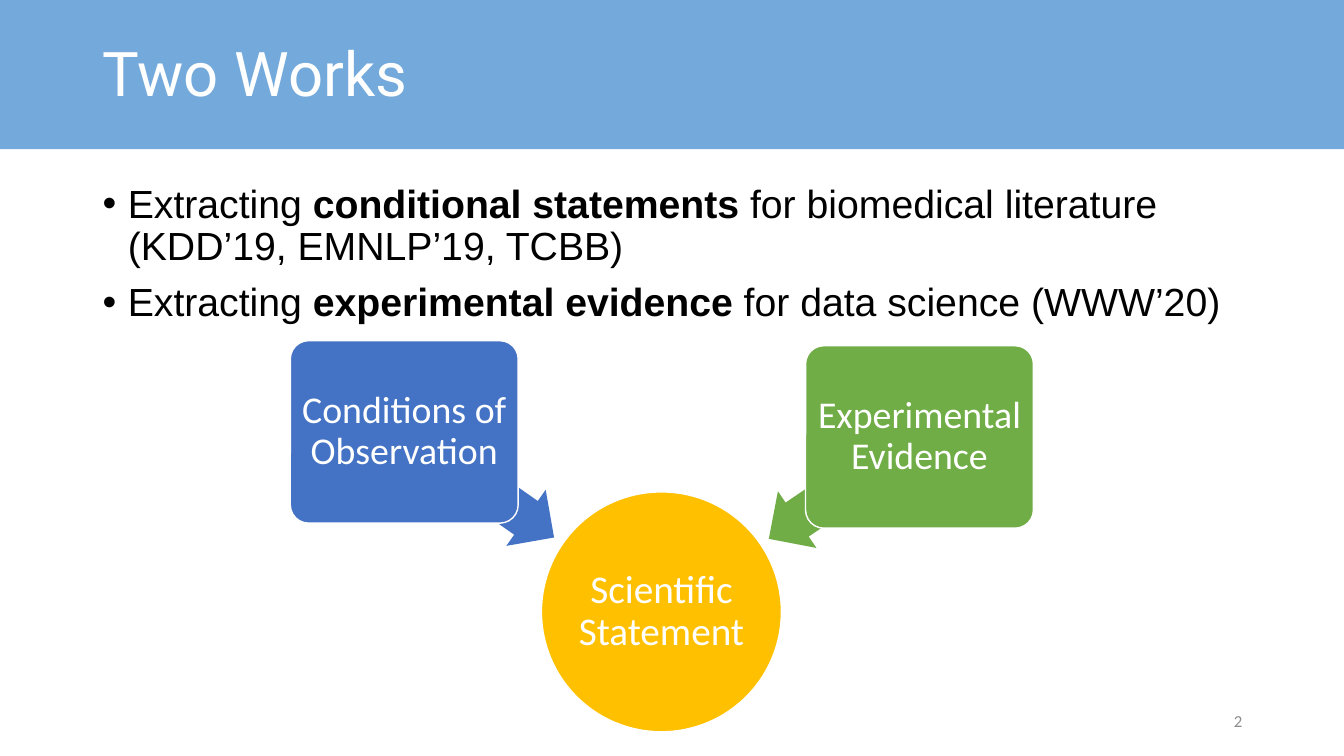
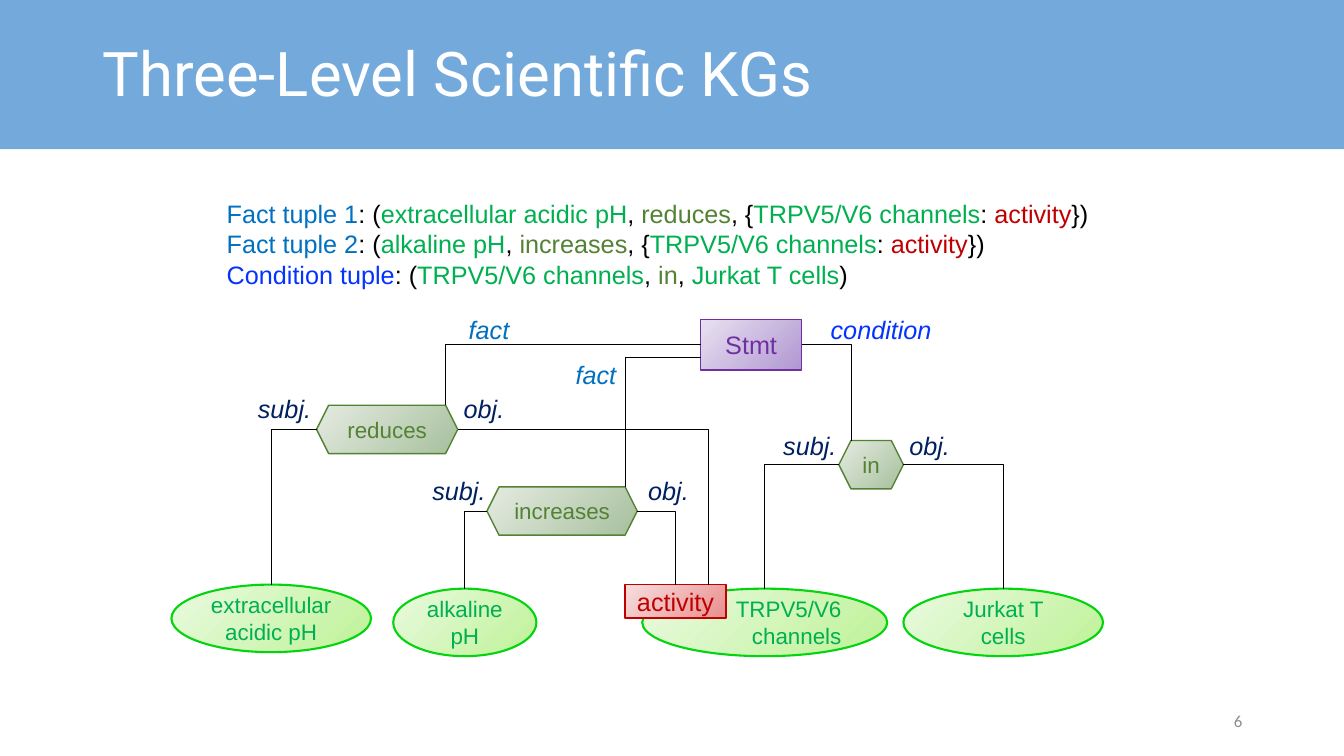
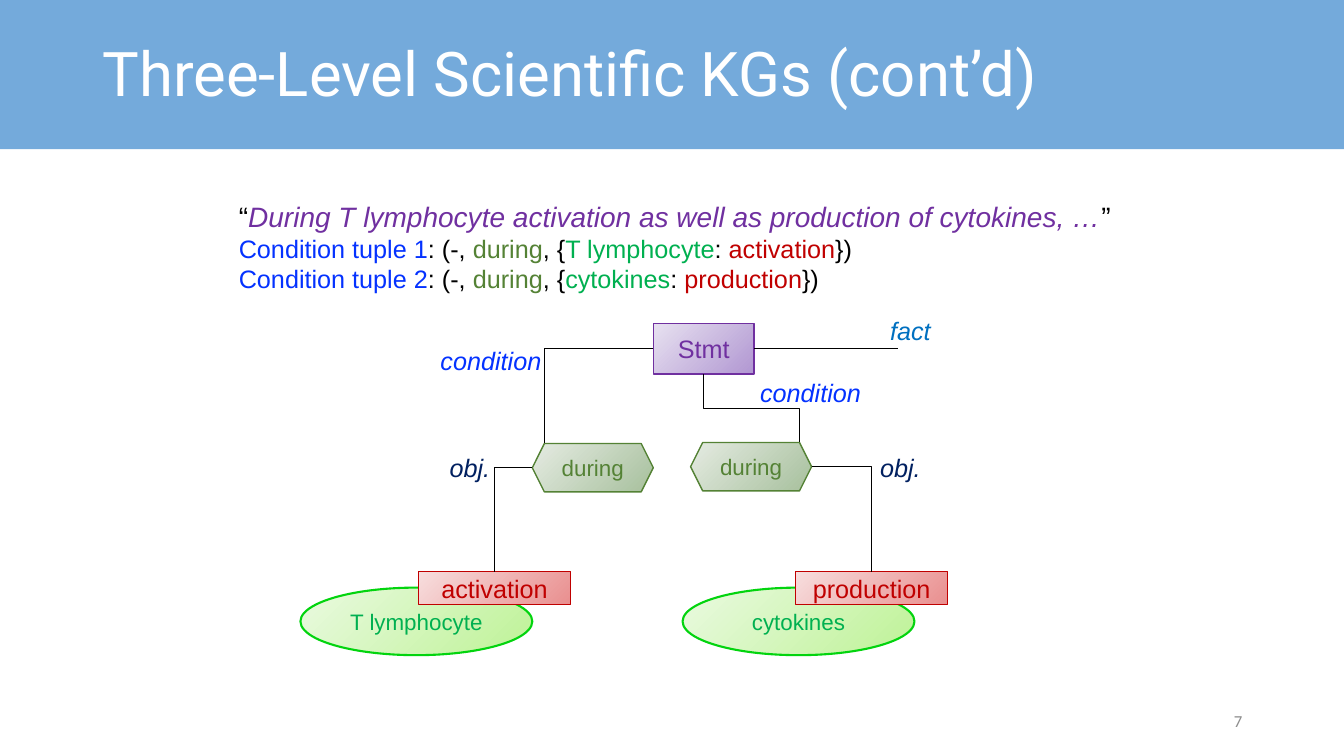
from dataclasses import dataclass

import pptx
import pptx.util
from lxml import etree
from pptx.dml.color import RGBColor
from pptx.enum.shapes import MSO_CONNECTOR, MSO_SHAPE
from pptx.enum.text import MSO_ANCHOR, PP_ALIGN
from pptx.oxml.ns import qn

PX = 9144  # 100 px to the inch


@dataclass(frozen=True)
class Theme:
    # Fonts
    title_font: str = "Roboto"
    body_font: str = "Arial"
    figure_font: str = "Calibri"
    # Type sizes
    title: int = 44
    body: int = 28
    card: int = 27
    quote: int = 20
    label: int = 18
    node: int = 16
    number: int = 12
    # Colours
    band: str = "74AADB"
    white: str = "FFFFFF"
    black: str = "000000"
    grey: str = "8C8C8C"
    blue: str = "4472C4"
    green: str = "70AD47"
    gold: str = "FFC000"
    fact: str = "0070C0"
    condition: str = "0432FF"
    role: str = "012060"
    concept: str = "00B050"
    relation: str = "548235"
    attribute: str = "C00000"
    statement: str = "7030A0"


THEME = Theme()


@dataclass(frozen=True)
class NodeStyle:
    shape: int
    dark: str
    light: str
    line: str
    line_width: float
    text: str
    size: int


CONCEPT = NodeStyle(MSO_SHAPE.OVAL, "BEF297", "EAFAE0", "02D40E", 1.5, THEME.concept, THEME.node)
RELATION = NodeStyle(MSO_SHAPE.HEXAGON, "A7C09D", "E5EBE2", THEME.relation, 1, THEME.relation, THEME.node)
ATTRIBUTE = NodeStyle(MSO_SHAPE.RECTANGLE, "E98F8F", "F7DEDE", THEME.attribute, 1, THEME.attribute, THEME.label)
STATEMENT = NodeStyle(MSO_SHAPE.RECTANGLE, "B197D2", "E7E1F0", THEME.statement, 1, THEME.statement, THEME.label)

RELATION_HEIGHT = 48
SLANT = RELATION_HEIGHT // 4  # corner cut of a hexagon
LABELS = {  # width and colour of each edge label
    "fact": (62, THEME.fact),
    "condition": (125, THEME.condition),
    "subj.": (73, THEME.role),
    "obj.": (62, THEME.role),
}


# Text
def rgb(code):
    return RGBColor.from_string(code)


def px(*lengths):
    return [length * PX for length in lengths]


def style(paragraph, font, size, color, align=PP_ALIGN.LEFT, spacing=None):
    paragraph.alignment = align
    if spacing:
        paragraph.line_spacing = spacing
    paragraph.font.name = font
    paragraph.font.size = pptx.util.Pt(size)
    paragraph.font.color.rgb = rgb(color)


def add_text_box(slide, box, anchor=MSO_ANCHOR.TOP, wrap=True):
    frame = slide.shapes.add_textbox(*px(*box)).text_frame
    frame.word_wrap = wrap
    frame.vertical_anchor = anchor
    return frame


def add_line(slide, box, text, font, size, color, align=PP_ALIGN.LEFT, spacing=None):
    frame = add_text_box(slide, box, MSO_ANCHOR.MIDDLE)
    frame.text = text
    style(frame.paragraphs[0], font, size, color, align, spacing)


def next_paragraph(frame, index):
    return frame.add_paragraph() if index else frame.paragraphs[0]


def add_bullets(slide, box, items):
    """Each item is (before, bold words, after)."""
    frame = add_text_box(slide, box)
    for index, item in enumerate(items):
        paragraph = next_paragraph(frame, index)
        if index:
            paragraph.space_before = pptx.util.Pt(10)
        properties = paragraph._p.get_or_add_pPr()
        properties.set("marL", str(25 * PX))
        properties.set("indent", str(-25 * PX))
        etree.SubElement(properties, qn("a:buFont")).set("typeface", THEME.body_font)
        etree.SubElement(properties, qn("a:buChar")).set("char", "•")
        style(paragraph, THEME.body_font, THEME.body, THEME.black, spacing=0.9)
        for part, text in enumerate(item):
            run = paragraph.add_run()
            run.text = text
            if part == 1:
                run.font.bold = True


def add_colored_lines(slide, box, lines):
    """Each line is (size, [(text, colour, italic), ...])."""
    frame = add_text_box(slide, box)
    for index, (size, parts) in enumerate(lines):
        paragraph = next_paragraph(frame, index)
        style(paragraph, THEME.body_font, size, THEME.black)
        for text, color, italic in parts:
            run = paragraph.add_run()
            run.text = text
            run.font.color.rgb = rgb(color)
            if italic:
                run.font.italic = True


def tuple_line(label, color, subject, relation, concept, attribute=None):
    """One line such as 'label: (subject, relation, {concept: attribute})'."""
    opening, closing = (", {", "})") if attribute else (", ", ")")
    parts = [(label, color)]
    if subject:
        parts += [(": (", THEME.black), (subject, THEME.concept), (", ", THEME.black)]
    else:
        parts.append((": (-, ", THEME.black))
    parts += [(relation, THEME.relation), (opening, THEME.black), (concept, THEME.concept)]
    if attribute:
        parts += [(": ", THEME.black), (attribute, THEME.attribute)]
    parts.append((closing, THEME.black))
    return THEME.label, [(text, part_color, False) for text, part_color in parts]


# Shapes
def add_shape(slide, kind, box, fill=None, line=None, line_width=1):
    shape = slide.shapes.add_shape(kind, *px(*box))
    shape.shadow.inherit = False
    if fill:
        shape.fill.solid()
        shape.fill.fore_color.rgb = rgb(fill)
    if line:
        shape.line.color.rgb = rgb(line)
        shape.line.width = pptx.util.Pt(line_width)
    else:
        shape.line.fill.background()
    return shape


def set_shape_text(shape, text, font, size, color, align=PP_ALIGN.CENTER, spacing=None):
    frame = shape.text_frame
    frame.word_wrap = True
    frame.vertical_anchor = MSO_ANCHOR.MIDDLE
    frame.text = text
    style(frame.paragraphs[0], font, size, color, align, spacing)


def add_card(slide, kind, box, text, size, fill, inset):
    shape = add_shape(slide, kind, box, fill, THEME.white)
    set_shape_text(shape, text, THEME.figure_font, size, THEME.white, spacing=0.9)
    frame = shape.text_frame
    frame.margin_left = frame.margin_right = frame.margin_top = frame.margin_bottom = inset * PX
    return shape


def add_source_card(slide, left, top, text, fill, arrow_box, angle):
    arrow = add_shape(slide, MSO_SHAPE.LEFT_ARROW, arrow_box, fill)
    arrow.adjustments[0] = 0.6
    arrow.rotation = angle
    card = add_card(slide, MSO_SHAPE.ROUNDED_RECTANGLE, (left, top, 226, 181), text, THEME.card, fill, 6)
    card.adjustments[0] = 0.1


def add_node(slide, look, box, text, align=PP_ALIGN.CENTER):
    shape = add_shape(slide, look.shape, box, line=look.line, line_width=look.line_width)
    shape.fill.gradient()
    shape.fill.gradient_angle = 135
    for stop, color in zip(shape.fill.gradient_stops, (look.dark, look.light)):
        stop.color.rgb = rgb(color)
    set_shape_text(shape, text, THEME.body_font, look.size, look.text, align)
    return shape


def add_relation(slide, left, top, width, text):
    return add_node(slide, RELATION, (left, top, width, RELATION_HEIGHT), text)


def add_labels(slide, labels):
    for text, left, top in labels:
        width, color = LABELS[text]
        frame = add_text_box(slide, (left, top, width, 40), wrap=False)
        frame.text = text
        style(frame.paragraphs[0], THEME.body_font, THEME.label, color)
        frame.paragraphs[0].font.italic = True


# Connectors
def point(shape, across, down):
    """The place on a shape at the given shares of its width and height."""
    return (shape.left + round(shape.width * across), shape.top + round(shape.height * down))


def left_of(shape):
    return point(shape, 0, 0.5)


def right_of(shape):
    return point(shape, 1, 0.5)


def top_of(shape):
    return point(shape, 0.5, 0)


def corner_of(hexagon, across):
    inward = SLANT * PX * (1 - 2 * across)
    return hexagon.left + hexagon.width * across + inward, hexagon.top


def add_connector(slide, kind, start, end):
    connector = slide.shapes.add_connector(kind, *start, *end)
    connector.line.color.rgb = rgb(THEME.black)
    connector.line.width = pptx.util.Pt(0.5)
    etree.SubElement(connector.element.spPr, qn("a:effectLst"))
    return connector


def add_bend(slide, start, end):
    """Run sideways from start, then down to end."""
    connector = add_connector(slide, MSO_CONNECTOR.ELBOW, start, end)
    connector.element.spPr.find(qn("a:prstGeom")).set("prst", "bentConnector2")


def add_step(slide, start, end):
    """Run down, sideways and down again: a quarter-turned elbow."""
    middle_x, middle_y = (start[0] + end[0]) // 2, (start[1] + end[1]) // 2
    half_x, half_y = (end[0] - start[0]) // 2, (end[1] - start[1]) // 2
    connector = add_connector(slide, MSO_CONNECTOR.ELBOW,
                              (middle_x + half_y, middle_y - half_x),
                              (middle_x - half_y, middle_y + half_x))
    connector.element.spPr.find(qn("a:xfrm")).set("rot", str(270 * 60000))


# Slides
def add_slide(presentation, title, number):
    slide = presentation.slides.add_slide(presentation.slide_layouts[6])
    add_shape(slide, MSO_SHAPE.RECTANGLE, (0, 0, 1333, 148), THEME.band)
    add_line(slide, (92, 3, 1150, 145), title, THEME.title_font, THEME.title, THEME.white, spacing=0.9)
    add_line(slide, (942, 695, 300, 40), str(number), THEME.figure_font, THEME.number,
             THEME.grey, PP_ALIGN.RIGHT)
    return slide


def build_two_works(presentation):
    slide = add_slide(presentation, "Two Works", 2)
    add_bullets(slide, (92, 178, 1150, 497), [
        ("Extracting ", "conditional statements ", "for biomedical literature (KDD’19, EMNLP’19, TCBB)"),
        ("Extracting ", "experimental evidence ", "for data science (WWW’20)"),
    ])
    add_card(slide, MSO_SHAPE.OVAL, (537, 488, 238, 238), "Scientific Statement", THEME.body, THEME.gold, 2)
    add_source_card(slide, 288, 338, "Conditions of Observation", THEME.blue, (384, 447, 182, 68), 215)
    add_source_card(slide, 799, 343, "Experimental Evidence", THEME.green, (747, 450, 180, 68), 325.8)


def build_three_levels(presentation):
    slide = add_slide(presentation, "Three-Level Scientific KGs", 6)
    channels = "TRPV5/V6 channels"
    add_colored_lines(slide, (215, 192, 879, 101), [
        tuple_line("Fact tuple 1", THEME.fact, "extracellular acidic pH", "reduces", channels, "activity"),
        tuple_line("Fact tuple 2", THEME.fact, "alkaline pH", "increases", channels, "activity"),
        tuple_line("Condition tuple", THEME.condition, channels, "in", "Jurkat T cells"),
    ])

    # Nodes
    acidic = add_node(slide, CONCEPT, (170, 580, 198, 67), "extracellular acidic pH")
    alkaline = add_node(slide, CONCEPT, (390, 584, 142, 67), "alkaline pH")
    channel = add_node(slide, CONCEPT, (637, 584, 243, 67), channels, PP_ALIGN.RIGHT)
    cells = add_node(slide, CONCEPT, (896, 584, 198, 67), "Jurkat T cells")
    reduces = add_relation(slide, 314, 402, 140, "reduces")
    increases = add_relation(slide, 483, 483, 149, "increases")
    inside = add_relation(slide, 832, 437, 64, "in")
    activity = add_node(slide, ATTRIBUTE, (620, 580, 100, 33), "activity")
    statement = add_node(slide, STATEMENT, (695, 317, 100, 50), "Stmt")

    # Edges
    for start, end in [
        (left_of(statement), corner_of(reduces, 1)),
        (point(statement, 0, 0.75), corner_of(increases, 1)),
        (right_of(statement), corner_of(inside, 0)),
        (left_of(reduces), top_of(acidic)),
        (right_of(reduces), point(activity, 0.83, 0)),
        (left_of(increases), top_of(alkaline)),
        (right_of(increases), top_of(activity)),
        (left_of(inside), top_of(channel)),
        (right_of(inside), top_of(cells)),
    ]:
        add_bend(slide, start, end)
    add_labels(slide, [
        ("fact", 455, 307), ("fact", 561, 352), ("condition", 814, 307),
        ("subj.", 246, 385), ("subj.", 419, 467), ("subj.", 767, 422),
        ("obj.", 450, 385), ("obj.", 633, 467), ("obj.", 892, 422),
    ])


def build_three_levels_continued(presentation):
    slide = add_slide(presentation, "Three-Level Scientific KGs (cont’d)", 7)
    quote = "During T lymphocyte activation as well as production of cytokines, …"
    add_colored_lines(slide, (227, 193, 891, 104), [
        (THEME.quote, [("“", THEME.black, False), (quote, THEME.statement, True), ("”", THEME.black, False)]),
        tuple_line("Condition tuple 1", THEME.condition, None, "during", "T lymphocyte", "activation"),
        tuple_line("Condition tuple 2", THEME.condition, None, "during", "cytokines", "production"),
    ])

    # Nodes
    statement = add_node(slide, STATEMENT, (648, 321, 100, 50), "Stmt")
    add_node(slide, CONCEPT, (298, 583, 230, 67), "T lymphocyte")
    add_node(slide, CONCEPT, (677, 583, 230, 67), "cytokines")
    activation = add_node(slide, ATTRIBUTE, (415, 567, 151, 33), "activation")
    production = add_node(slide, ATTRIBUTE, (789, 567, 151, 33), "production")
    during_activation = add_relation(slide, 528, 440, 120, "during")
    during_production = add_relation(slide, 685, 439, 120, "during")

    # Edges
    add_bend(slide, left_of(statement), corner_of(during_activation, 0))
    add_bend(slide, left_of(during_activation), top_of(activation))
    add_bend(slide, right_of(during_production), top_of(production))
    add_step(slide, point(statement, 0.5, 1), corner_of(during_production, 1))
    start = right_of(statement)
    fact_line = add_connector(slide, MSO_CONNECTOR.STRAIGHT, start, (891 * PX, start[1]))
    fact_line.begin_connect(statement, 3)
    add_labels(slide, [
        ("fact", 873, 308), ("condition", 427, 338), ("condition", 744, 369),
        ("obj.", 436, 444), ("obj.", 863, 444),
    ])


def main():
    presentation = pptx.Presentation()
    presentation.slide_width, presentation.slide_height = px(1333, 750)
    build_two_works(presentation)
    build_three_levels(presentation)
    build_three_levels_continued(presentation)
    presentation.save("out.pptx")


if __name__ == "__main__":
    main()
